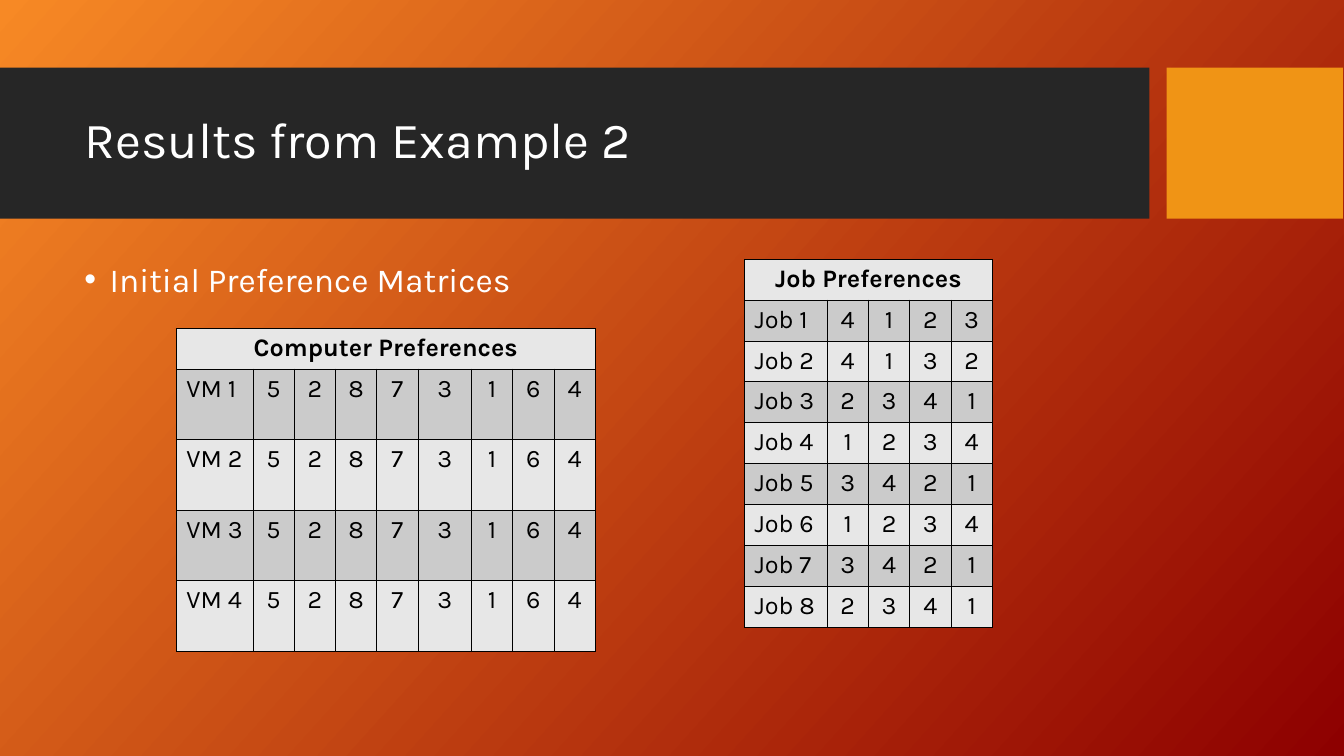
from dataclasses import dataclass

from lxml import etree
from pptx import Presentation
from pptx import util as u
from pptx.dml.color import RGBColor
from pptx.enum import shapes, text
from pptx.oxml import ns


@dataclass(frozen=True)
class Theme:
    font: str = "Karla"
    glow: str = "F78925"
    ember: str = "8D0000"
    band: str = "262626"
    accent: str = "F09415"
    light: str = "FFFFFF"
    dark: str = "000000"
    row_fills: tuple = ("E7E7E7", "CBCBCB")
    title_size: int = 36
    body_size: int = 24
    table_size: int = 18
    border_width: float = 0.45


THEME = Theme()
VM_PREFERENCES = [["VM %d" % vm, 5, 2, 8, 7, 3, 1, 6, 4] for vm in range(1, 5)]
JOB_RANKINGS = ["4123", "4132", "2341", "1234", "3421", "1234", "3421", "2341"]
JOB_PREFERENCES = [["Job %d" % job, *ranking]
                   for job, ranking in enumerate(JOB_RANKINGS, 1)]


def rgb(value):
    return RGBColor.from_string(value)


def style_runs(paragraph, size, color, bold=False):
    for run in paragraph.runs:
        run.font.name = THEME.font
        run.font.size = u.Pt(size)
        run.font.bold = bold
        run.font.color.rgb = rgb(color)


def add_background(slide):
    fill = slide.background.fill
    fill.gradient()
    fill.gradient_angle = 360 - 42
    for stop, color in zip(fill.gradient_stops, (THEME.glow, THEME.ember)):
        stop.color.rgb = rgb(color)


def add_block(slide, left, top, width, height, color):
    block = slide.shapes.add_shape(shapes.MSO_SHAPE.RECTANGLE, u.Inches(left), u.Inches(top),
                                   u.Inches(width), u.Inches(height))
    block.shadow.inherit = False
    block.fill.solid()
    block.fill.fore_color.rgb = rgb(color)
    block.line.fill.background()


def add_text(slide, left, top, width, height, words, size):
    box = slide.shapes.add_textbox(u.Inches(left), u.Inches(top),
                                   u.Inches(width), u.Inches(height))
    frame = box.text_frame
    frame.word_wrap = True
    frame.text = words
    paragraph = frame.paragraphs[0]
    paragraph.line_spacing = 0.9
    style_runs(paragraph, size, THEME.light)
    return frame


def add_title_band(slide, left, top, width, height, title):
    # Dark band, a narrow gap, then the accent block up to the right edge
    accent_width, gap = 1.75, 0.17
    band_width = width - accent_width - gap
    add_block(slide, left, top, band_width, height, THEME.band)
    add_block(slide, left + band_width + gap, top, accent_width, height, THEME.accent)
    frame = add_text(slide, left + 0.74, top + 0.15, 10.51, 1.18, title, THEME.title_size)
    frame.vertical_anchor = text.MSO_ANCHOR.MIDDLE


def add_bullet(slide, left, top, width, height, words):
    paragraph = add_text(slide, left, top, width, height, words, THEME.body_size).paragraphs[0]
    paragraph.space_before = u.Pt(10)
    # Hanging bullet
    properties = paragraph._p.get_or_add_pPr()
    properties.set("marL", str(u.Inches(0.25)))
    properties.set("indent", str(-u.Inches(0.25)))
    bullet_color = etree.SubElement(properties, ns.qn("a:buClr"))
    etree.SubElement(bullet_color, ns.qn("a:srgbClr"), val=THEME.light)
    etree.SubElement(properties, ns.qn("a:buFont"), typeface="Arial")
    etree.SubElement(properties, ns.qn("a:buChar"), char="•")


def add_cell_borders(cell):
    properties = cell._tc.get_or_add_tcPr()
    for side in ("lnL", "lnR", "lnT", "lnB"):
        border = etree.SubElement(properties, ns.qn("a:" + side),
                                  w=str(u.Pt(THEME.border_width)))
        paint = etree.SubElement(border, ns.qn("a:solidFill"))
        etree.SubElement(paint, ns.qn("a:srgbClr"), val=THEME.dark)


def add_preferences(slide, left, top, heading, rankings, column_widths, row_heights):
    frame = slide.shapes.add_table(len(row_heights), len(column_widths),
                                   u.Inches(left), u.Inches(top),
                                   u.Inches(sum(column_widths)), u.Inches(sum(row_heights)))
    table = frame.table
    for column, width in zip(table.columns, column_widths):
        column.width = u.Inches(width)
    for row, height in zip(table.rows, row_heights):
        row.height = u.Inches(height)

    # Heading spans all columns; fills alternate from row to row
    table.cell(0, 0).merge(table.cell(0, len(column_widths) - 1))
    heading_row = [heading] + [""] * (len(column_widths) - 1)
    for r, entries in enumerate([heading_row, *rankings]):
        for c, entry in enumerate(entries):
            cell = table.cell(r, c)
            add_cell_borders(cell)
            cell.fill.solid()
            cell.fill.fore_color.rgb = rgb(THEME.row_fills[r % 2])
            paragraph = cell.text_frame.paragraphs[0]
            paragraph.text = str(entry)
            is_label = r > 0 and c == 0
            paragraph.alignment = text.PP_ALIGN.LEFT if is_label else text.PP_ALIGN.CENTER
            style_runs(paragraph, THEME.table_size, THEME.dark, bold=r == 0)


def build_results_slide(deck):
    slide = deck.slides.add_slide(deck.slide_layouts[6])
    add_background(slide)
    add_title_band(slide, 0, 0.67, 13.33, 1.5, "Results from Example 2")
    add_bullet(slide, 0.74, 2.56, 10.51, 3.94, "Initial Preference Matrices")
    add_preferences(slide, 1.75, 3.26, "Computer Preferences", VM_PREFERENCES,
                    [0.76] + [0.41] * 4 + [0.53] + [0.41] * 3, [0.4] + [0.7] * 4)
    add_preferences(slide, 7.39, 2.57, "Job Preferences", JOB_PREFERENCES,
                    [0.82] + [0.41] * 4, [3.65 / 9] * 9)


def main():
    deck = Presentation()
    deck.slide_width = u.Inches(13.34)
    deck.slide_height = u.Inches(7.5)
    build_results_slide(deck)
    deck.save("out.pptx")


if __name__ == "__main__":
    main()
